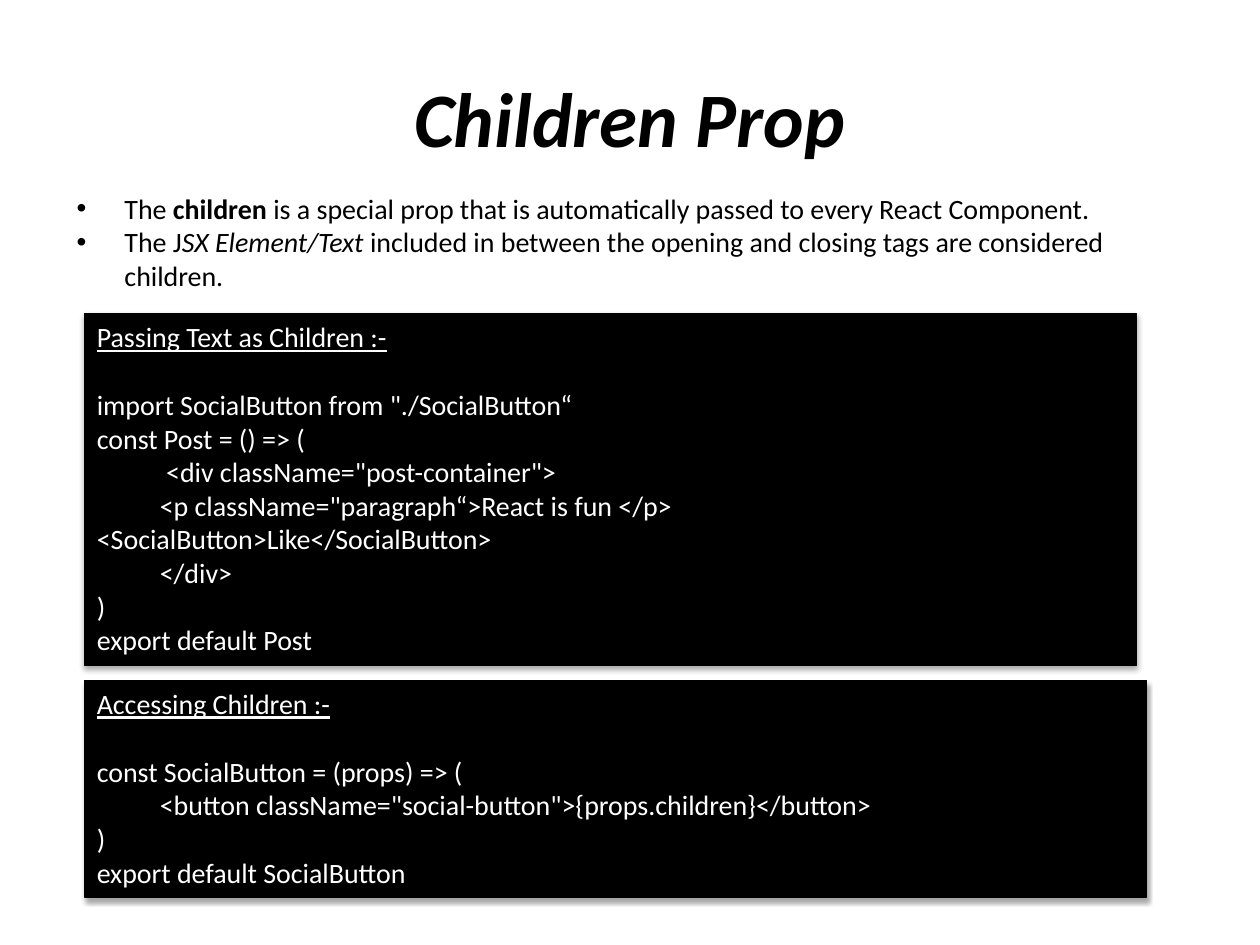
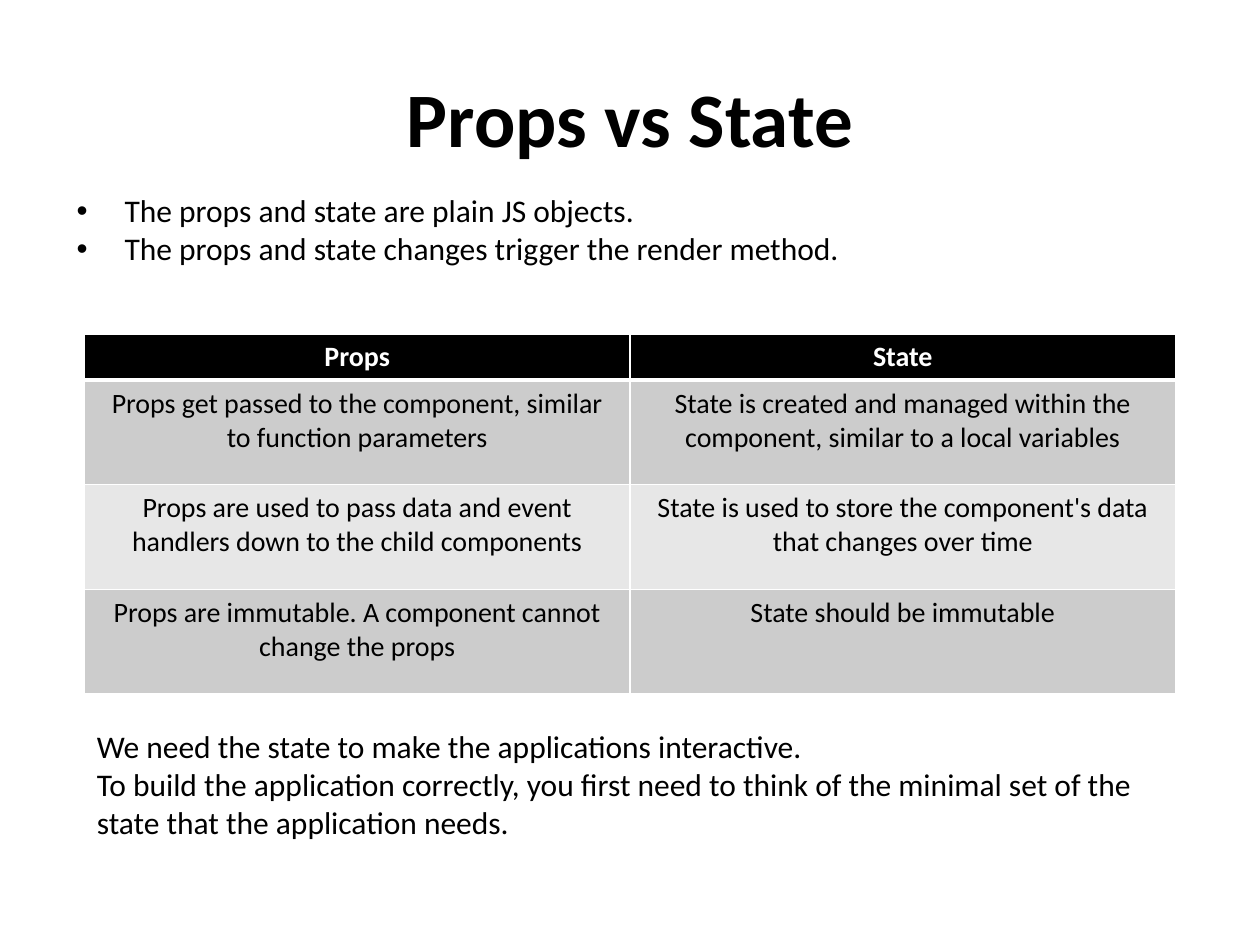
from lxml.etree import SubElement as Sub
from pptx import Presentation
from pptx.dml.color import RGBColor as RGB
from pptx.enum.shapes import MSO_SHAPE as Shape
from pptx.enum.text import MSO_ANCHOR as Anchor, MSO_AUTO_SIZE as Fit, PP_ALIGN as Align
from pptx.oxml.ns import qn
from pptx.util import Inches, Pt

BLACK = RGB(0, 0, 0)
WHITE = RGB(255, 255, 255)
DARK = RGB(0xCC, 0xCC, 0xCC)
LIGHT = RGB(0xE7, 0xE7, 0xE7)
FONT = "Calibri"
EDGE = 0.67

TEXT_CODE = """import SocialButton from "./SocialButton“
const Post = () => (
\t <div className="post-container">
\t<p className="paragraph“>React is fun </p>
<SocialButton>Like</SocialButton>
\t</div>
)
export default Post"""

PROP_CODE = """const SocialButton = (props) => (
\t<button className="social-button">{props.children}</button>
)
export default SocialButton"""

ROWS = [
    ("Props", "State"),
    ("Props get passed to the component, similar to function parameters",
     "State is created and managed within the component, similar to a local variables"),
    ("Props are used to pass data and event handlers down to the child components",
     "State is used to store the component's data that changes over time"),
    ("Props are immutable. A component cannot change the props",
     "State should be immutable"),
]


class Deck:
    """Holds the shared style and the current slide."""

    def __init__(self):
        self.prs = Presentation()
        self.prs.slide_width, self.prs.slide_height = Inches(10), Inches(7.5)
        self.slide = None

    def style(self, par, size, color=BLACK, bold=False):
        for run in par.runs:
            font = run.font
            font.name, font.size, font.bold = FONT, Pt(size), bold
            font.color.rgb = color

    def page(self, title, italic=False):
        self.slide = self.prs.slides.add_slide(self.prs.slide_layouts[6])
        frame = self.box(0.5, 0.3, 9, 1.25)
        frame.vertical_anchor = Anchor.MIDDLE
        frame.text = title
        par = frame.paragraphs[0]
        par.alignment = Align.CENTER
        self.style(par, 44, bold=True)
        par.runs[0].font.italic = italic

    def box(self, x, y, w, h):
        shape = self.slide.shapes.add_textbox(Inches(x), Inches(y), Inches(w), Inches(h))
        shape.text_frame.word_wrap = True
        return shape.text_frame

    def note(self, x, y, w, h, text, size):
        frame = self.box(x, y, w, h)
        frame.text = text
        for par in frame.paragraphs:
            self.style(par, size)
        return frame

    def points(self, y, w, h, text, size):
        frame = self.note(0.51, y, w, h, text, size)
        for par in frame.paragraphs:
            props = par._p.get_or_add_pPr()
            props.set("marL", str(Inches(0.38)))
            props.set("indent", str(Inches(-0.38)))
            Sub(props, qn("a:buFont")).set("typeface", "Arial")
            Sub(props, qn("a:buChar")).set("char", "•")
        return frame

    def mark(self, par, word, kind):
        head, tail = par.text.split(word, 1)
        par.text = head
        for part in (word, tail):
            par.add_run().text = part
        self.style(par, 16)
        setattr(par.runs[1].font, kind, True)

    def shade(self, shape):
        fx = Sub(shape._element.spPr, qn("a:effectLst"))
        glow = Sub(fx, qn("a:outerShdw"), blurRad=str(Pt(3.1)), dist=str(Pt(1.8)),
                   dir="5400000", rotWithShape="0")
        tone = Sub(glow, qn("a:srgbClr"), val=str(BLACK))
        Sub(tone, qn("a:alpha"), val="35000")

    def code(self, y, w, h, head, text):
        shape = self.slide.shapes.add_shape(
            Shape.RECTANGLE, Inches(EDGE), Inches(y), Inches(w), Inches(h))
        shape.fill.solid()
        shape.fill.fore_color.rgb = BLACK
        shape.line.color.rgb = BLACK
        shape.line.width = Pt(0.75)
        self.shade(shape)
        frame = shape.text_frame
        frame.word_wrap = True
        frame.auto_size = Fit.SHAPE_TO_FIT_TEXT
        frame.vertical_anchor = Anchor.TOP
        frame.text = head + "\n" + text
        for par in frame.paragraphs:
            par.alignment = Align.LEFT
            self.style(par, 16, WHITE)
        first = frame.paragraphs[0]
        first.space_after = Pt(19.5)
        first.runs[0].font.underline = True

    def edges(self, cell, base):
        props = cell._tc.get_or_add_tcPr()
        for side, width in zip("LRTB", (1, 1, 1, base)):
            line = Sub(props, qn("a:ln" + side), w=str(Pt(width)))
            Sub(Sub(line, qn("a:solidFill")), qn("a:srgbClr"), val=str(WHITE))

    def table(self, y, w, rows):
        high = [0.36] + [0.83] * (len(rows) - 1)
        grid = self.slide.shapes.add_table(
            len(rows), len(rows[0]), Inches(EDGE), Inches(y), Inches(w), Inches(sum(high))).table
        for r, row in enumerate(rows):
            grid.rows[r].height = Inches(high[r])
            top = r == 0
            fill = BLACK if top else (DARK if r % 2 else LIGHT)
            for c, text in enumerate(row):
                cell = grid.cell(r, c)
                self.edges(cell, 3 if top else 1)
                cell.fill.solid()
                cell.fill.fore_color.rgb = fill
                cell.text = text
                par = cell.text_frame.paragraphs[0]
                par.alignment = Align.CENTER
                self.style(par, 16, WHITE if top else BLACK, top)


def main():
    deck = Deck()

    deck.page("Children Prop", italic=True)
    frame = deck.points(
        1.47, 9.13, 0.91,
        "The children is a special prop that is automatically passed to every React Component.\n"
        "The JSX Element/Text included in between the opening and closing tags "
        "are considered children.", 16)
    deck.mark(frame.paragraphs[0], "children", "bold")
    deck.mark(frame.paragraphs[1], "SX Element/Text", "italic")
    deck.code(2.49, 8.35, 2.79, "Passing Text as Children :-", TEXT_CODE)
    deck.code(5.4, 8.43, 1.72, "Accessing Children :-", PROP_CODE)

    deck.page("Props vs State")
    deck.points(1.47, 8.98, 0.71,
                "The props and state are plain JS objects.\n"
                "The props and state changes trigger the render method.", 18)
    deck.table(2.65, 8.66, ROWS)
    deck.note(EDGE, 5.72, 8.43, 1.31,
              "We need the state to make the applications interactive.\n"
              "To build the application correctly, you first need to think of "
              "the minimal set of the state that the application needs.", 18)

    deck.prs.save("out.pptx")


if __name__ == "__main__":
    main()
